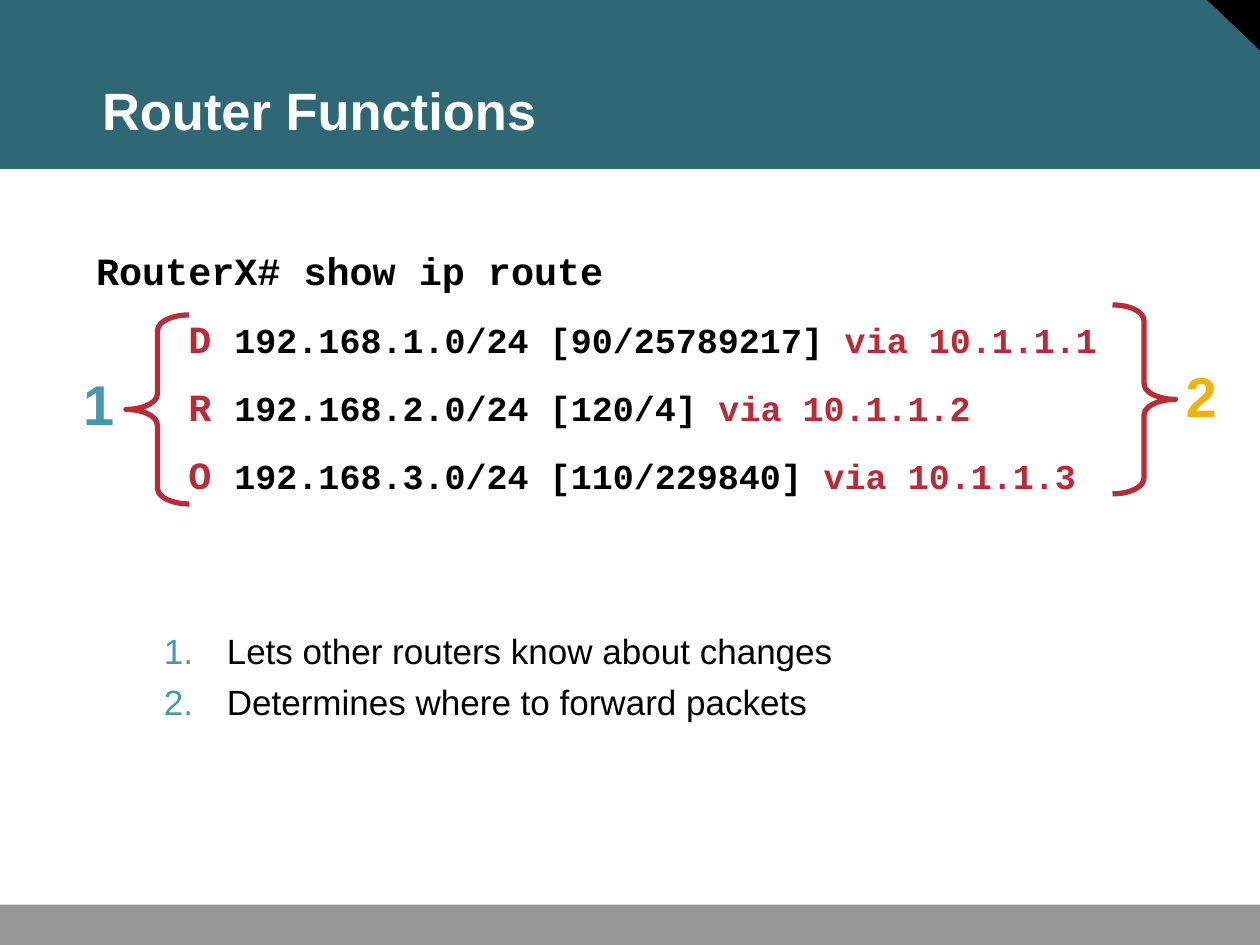
from typing import NamedTuple

from lxml import etree
from pptx import Presentation
from pptx.dml.color import RGBColor
from pptx.enum.shapes import MSO_SHAPE
from pptx.enum.text import MSO_ANCHOR, MSO_AUTO_SIZE, PP_ALIGN
from pptx.oxml.ns import qn
from pptx.util import Inches, Pt

RECT = MSO_SHAPE.RECTANGLE
CORNER = MSO_SHAPE.RIGHT_TRIANGLE
LEFT_BRACE = MSO_SHAPE.LEFT_BRACE
RIGHT_BRACE = MSO_SHAPE.RIGHT_BRACE
LEFT = PP_ALIGN.LEFT
TOP, BOTTOM = MSO_ANCHOR.TOP, MSO_ANCHOR.BOTTOM
NO_FIT = MSO_AUTO_SIZE.NONE

TEAL = RGBColor(0x30, 0x67, 0x74)
BLUE = RGBColor(0x47, 0x98, 0xAB)
RED = RGBColor(0xB9, 0x2B, 0x38)
GOLD = RGBColor(0xEE, 0xB3, 0x0E)
GRAY = RGBColor(0x96, 0x96, 0x96)
BLACK = RGBColor(0, 0, 0)
WHITE = RGBColor(0xFF, 0xFF, 0xFF)

SANS, MONO = "Arial", "Courier New"


class Box(NamedTuple):
    left: float
    top: float
    width: float
    height: float


class Route(NamedTuple):
    code: str
    net: str
    hop: str


class Mark(NamedTuple):
    kind: MSO_SHAPE
    brace: Box
    digit: str
    label: Box
    color: RGBColor


ROUTES = [
    Route("D", "192.168.1.0/24 [90/25789217]", "10.1.1.1"),
    Route("R", "192.168.2.0/24 [120/4]", "10.1.1.2"),
    Route("O", "192.168.3.0/24 [110/229840]", "10.1.1.3"),
]
MARKS = [
    Mark(LEFT_BRACE, Box(1, 2.5, 0.5, 1.5), "1", Box(0.58, 2.89, 0.33, 0.61), BLUE),
    Mark(RIGHT_BRACE, Box(8.83, 2.42, 0.5, 1.5), "2", Box(9.33, 2.83, 0.33, 0.61), GOLD),
]
NOTES = ["Lets other routers know about changes", "Determines where to forward packets"]


def place(box: Box) -> list:
    return [Inches(side) for side in box]


def add_fill(slide, kind: MSO_SHAPE, box: Box, color: RGBColor):
    shape = slide.shapes.add_shape(kind, *place(box))
    shape.shadow.inherit = False
    shape.fill.solid()
    shape.fill.fore_color.rgb = color
    shape.line.fill.background()
    return shape


def set_frame(frame, pad_x: float, pad_y: float, anchor=TOP) -> None:
    frame.word_wrap = True
    frame.auto_size = NO_FIT
    frame.vertical_anchor = anchor
    frame.margin_left = frame.margin_right = Inches(pad_x)
    frame.margin_top = frame.margin_bottom = Inches(pad_y)


def add_text(slide, box: Box, pad_x: float, pad_y: float):
    frame = slide.shapes.add_textbox(*place(box)).text_frame
    set_frame(frame, pad_x, pad_y)
    return frame


def style(run, size: int, color: RGBColor, face: str = SANS, bold: bool = True) -> None:
    run.font.name = face
    run.font.size = Pt(size)
    run.font.bold = bold
    run.font.color.rgb = color


def add_run(para, text: str, size: int, color: RGBColor) -> None:
    run = para.add_run()
    run.text = text
    style(run, size, color, MONO)


def add_route(frame, route: Route) -> None:
    para = frame.add_paragraph()
    para.space_before = Pt(12.5)
    add_run(para, f"     {route.code} ", 22, RED)
    add_run(para, f"{route.net} ", 20, BLACK)
    add_run(para, f"via {route.hop}", 20, RED)


def add_mark(slide, mark: Mark) -> None:
    brace = slide.shapes.add_shape(mark.kind, *place(mark.brace))
    brace.shadow.inherit = False
    brace.adjustments[0] = 0.25
    brace.fill.background()
    brace.line.color.rgb = RED
    brace.line.width = Pt(3)
    frame = add_text(slide, mark.label, 0.08, 0.04)
    frame.text = mark.digit
    style(frame.paragraphs[0].runs[0], 32, mark.color)


def number(para) -> None:
    props = para._p.get_or_add_pPr()
    props.set("marL", str(Inches(0.63)))
    props.set("indent", str(Inches(-0.5)))
    tint = etree.SubElement(props, qn("a:buClr"))
    etree.SubElement(tint, qn("a:srgbClr"), val=str(BLUE))
    etree.SubElement(props, qn("a:buFont"), typeface=SANS)
    etree.SubElement(props, qn("a:buAutoNum"), type="arabicPeriod")


def main() -> None:
    deck = Presentation()
    deck.slide_width, deck.slide_height = Inches(10), Inches(7.5)
    slide = deck.slides.add_slide(deck.slide_layouts[5])

    # Header band, corner and footer band
    add_fill(slide, RECT, Box(0, 0, 10, 1.34), TEAL)
    add_fill(slide, CORNER, Box(9.58, 0, 0.42, 0.4), BLACK).rotation = 180
    add_fill(slide, RECT, Box(0, 7.18, 10, 0.32), GRAY)

    # Title, brought in front of the band
    title = slide.shapes.title
    title.element.getparent().append(title.element)
    title.left, title.top, title.width, title.height = place(Box(0.72, 0.25, 8.91, 0.92))
    set_frame(title.text_frame, 0.09, 0.04, BOTTOM)
    title.text_frame.text = "Router Functions"
    head = title.text_frame.paragraphs[0]
    head.alignment = LEFT
    head.line_spacing = 0.9
    style(head.runs[0], 30, WHITE)

    # Console output
    shell = add_text(slide, Box(0.5, 1.92, 9.33, 2.07), 0.08, 0.04)
    add_run(shell.paragraphs[0], " RouterX# show ip route", 22, BLACK)
    for route in ROUTES:
        add_route(shell, route)

    # Braces with their digits
    for mark in MARKS:
        add_mark(slide, mark)

    # Numbered notes
    notes = add_text(slide, Box(1.08, 5, 7.75, 1.17), 0.09, 0.05)
    notes.text = "\n".join(NOTES)
    for index, para in enumerate(notes.paragraphs):
        para.line_spacing = 0.85
        if index:
            para.space_before = Pt(8.8)
        number(para)
        style(para.runs[0], 20, BLACK, bold=False)

    deck.save("out.pptx")


if __name__ == "__main__":
    main()
